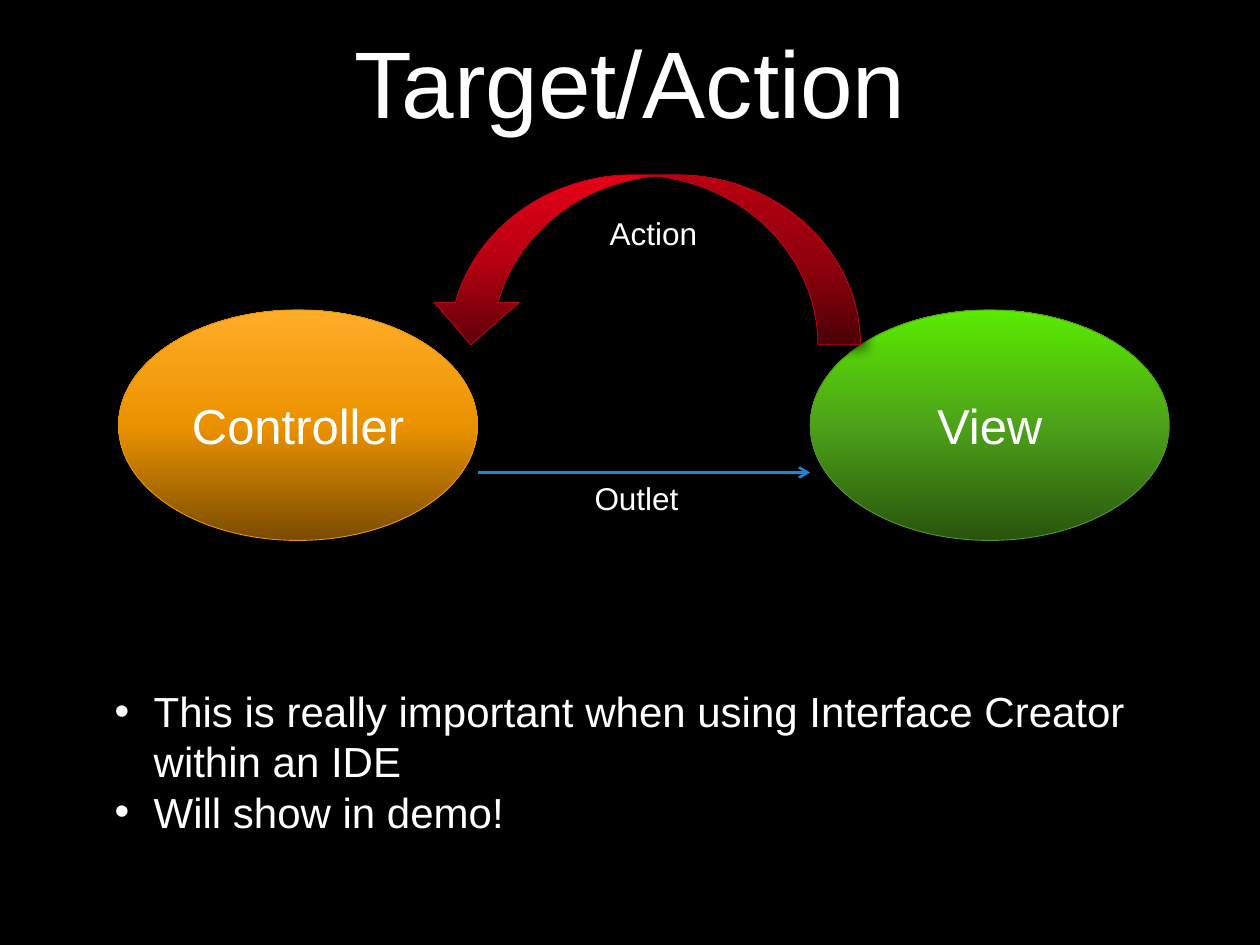
import pptx
import pptx.dml.color
import pptx.enum.shapes
import pptx.enum.text
import pptx.oxml
import pptx.oxml.ns
import pptx.util

COLORS = {"background": "000000", "text": "FFFFFF", "outlet": "1D86CD"}
GRADIENTS = {
    "view": ("28540D", "4DA219", "5AEB00"),
    "controller": ("7A4C00", "EB9200", "FFAD28"),
    "action": ("5F0009", "B70011", "E60016"),
}
OUTLINES = {"view": "529827", "controller": "E89308", "action": "B50717"}
TITLE = "Target/Action"
BULLETS = [
    "This is really important when using Interface Creator within an IDE",
    "Will show in demo!",
]
WIDTH, HEIGHT = 10, 7.5
NODE_WIDTH, NODE_HEIGHT = 0.285 * WIDTH, 0.244 * HEIGHT
NODE_TOP = 0.328 * HEIGHT
LEFTS = {"controller": 0.094 * WIDTH, "view": 0.643 * WIDTH}
OUTLET_Y = HEIGHT / 2
SHAPES = pptx.enum.shapes.MSO_SHAPE
NODES = [
    ("view", "View", SHAPES.OVAL, (LEFTS["view"], NODE_TOP, NODE_WIDTH, NODE_HEIGHT)),
    ("controller", "Controller", SHAPES.OVAL,
     (LEFTS["controller"], NODE_TOP, NODE_WIDTH, NODE_HEIGHT)),
    ("action", "", SHAPES.CURVED_DOWN_ARROW,
     (0.34 * WIDTH, 0.185 * HEIGHT, 0.343 * WIDTH, 0.18 * HEIGHT)),
]
LABELS = [
    ("Action", (0.474 * WIDTH, 0.22 * HEIGHT, 0.093 * WIDTH, 0.4)),
    ("Outlet", (0.462 * WIDTH, OUTLET_Y, 0.089 * WIDTH, 0.4)),
]
ALIGN = pptx.enum.text.PP_ALIGN
ANCHOR = pptx.enum.text.MSO_ANCHOR
FIT = pptx.enum.text.MSO_AUTO_SIZE


def color(value):
    return pptx.dml.color.RGBColor.from_string(value)


def lengths(box):
    return [pptx.util.Inches(value) for value in box]


def element(markup):
    head, tail = markup.split(" ", 1)
    return pptx.oxml.parse_xml(f'{head} {pptx.oxml.ns.nsdecls("a")} {tail}')


def place(shape, box):
    for name, value in zip(("left", "top", "width", "height"), lengths(box)):
        setattr(shape, name, value)


def write(shape, lines, size, align=ALIGN.LEFT, bullet=False, **frame_format):
    frame = shape.text_frame
    for name, value in frame_format.items():
        setattr(frame, name, value)
    frame.text = "\n".join(lines)
    for para in frame.paragraphs:
        if bullet:
            properties = para._p.get_or_add_pPr()
            indent = pptx.util.Inches(0.31)
            properties.set("marL", str(indent))
            properties.set("indent", str(-indent))
            properties.append(element('<a:buFont typeface="Arial"/>'))
            properties.append(element('<a:buChar char="•"/>'))
        for name, value in {"alignment": align, "space_before": pptx.util.Pt(0)}.items():
            setattr(para, name, value)
        font = para.runs[0].font
        for name, value in {"name": "Arial", "size": pptx.util.Pt(size)}.items():
            setattr(font, name, value)
        font.color.rgb = color(COLORS["text"])


def paint(shape, key):
    stops = "".join(
        f'<a:gs pos="{index * 50000}"><a:srgbClr val="{value}"/></a:gs>'
        for index, value in enumerate(GRADIENTS[key])
    )
    shape.fill.background()
    blank = shape._element.spPr.find(pptx.oxml.ns.qn("a:noFill"))
    blank.getparent().replace(blank, element(
        f'<a:gradFill rotWithShape="1"><a:gsLst>{stops}</a:gsLst>'
        '<a:lin ang="16200000" scaled="0"/></a:gradFill>'))
    shape.line.color.rgb = color(OUTLINES[key])
    shape.line.width = pptx.util.Pt(0.5)
    shape.shadow.inherit = False
    shape._element.spPr.find(pptx.oxml.ns.qn("a:effectLst")).append(element(
        '<a:outerShdw blurRad="88900" dist="50800" dir="2100000" rotWithShape="0">'
        '<a:srgbClr val="000000"><a:alpha val="55000"/></a:srgbClr></a:outerShdw>'))


def main():
    deck = pptx.Presentation()
    deck.slide_width, deck.slide_height = lengths((WIDTH, HEIGHT))
    page = deck.slides.add_slide(deck.slide_layouts[1])
    page.background.fill.solid()
    page.background.fill.fore_color.rgb = color(COLORS["background"])

    title, body = page.placeholders
    place(title, (0.075 * WIDTH, 0.07, 0.85 * WIDTH, 1.07))
    write(title, [TITLE], 54, ALIGN.CENTER,
          vertical_anchor=ANCHOR.BOTTOM, auto_size=FIT.NONE)
    place(body, (0.081 * WIDTH, 5.39, 0.844 * WIDTH, 1.31))
    write(body, BULLETS, 24, bullet=True,
          vertical_anchor=ANCHOR.TOP, auto_size=FIT.NONE)

    for key, text, kind, box in NODES:
        shape = page.shapes.add_shape(kind, *lengths(box))
        paint(shape, key)
        if text:
            write(shape, [text], 28, ALIGN.CENTER, vertical_anchor=ANCHOR.MIDDLE)
        else:
            shape._element.spPr.xfrm.set("flipH", "1")

    start = LEFTS["controller"] + NODE_WIDTH
    outlet = page.shapes.add_connector(
        pptx.enum.shapes.MSO_CONNECTOR.STRAIGHT,
        *lengths((start, OUTLET_Y, LEFTS["view"], OUTLET_Y)))
    outlet.line.color.rgb = color(COLORS["outlet"])
    outlet.line.width = pptx.util.Pt(1.5)
    outlet.line._get_or_add_ln().append(element('<a:tailEnd type="arrow"/>'))
    outlet._element.spPr.append(element("<a:effectLst />"))

    for text, box in LABELS:
        label = page.shapes.add_textbox(*lengths(box))
        write(label, [text], 18, word_wrap=False, auto_size=FIT.SHAPE_TO_FIT_TEXT)

    deck.save("out.pptx")


if __name__ == "__main__":
    main()
